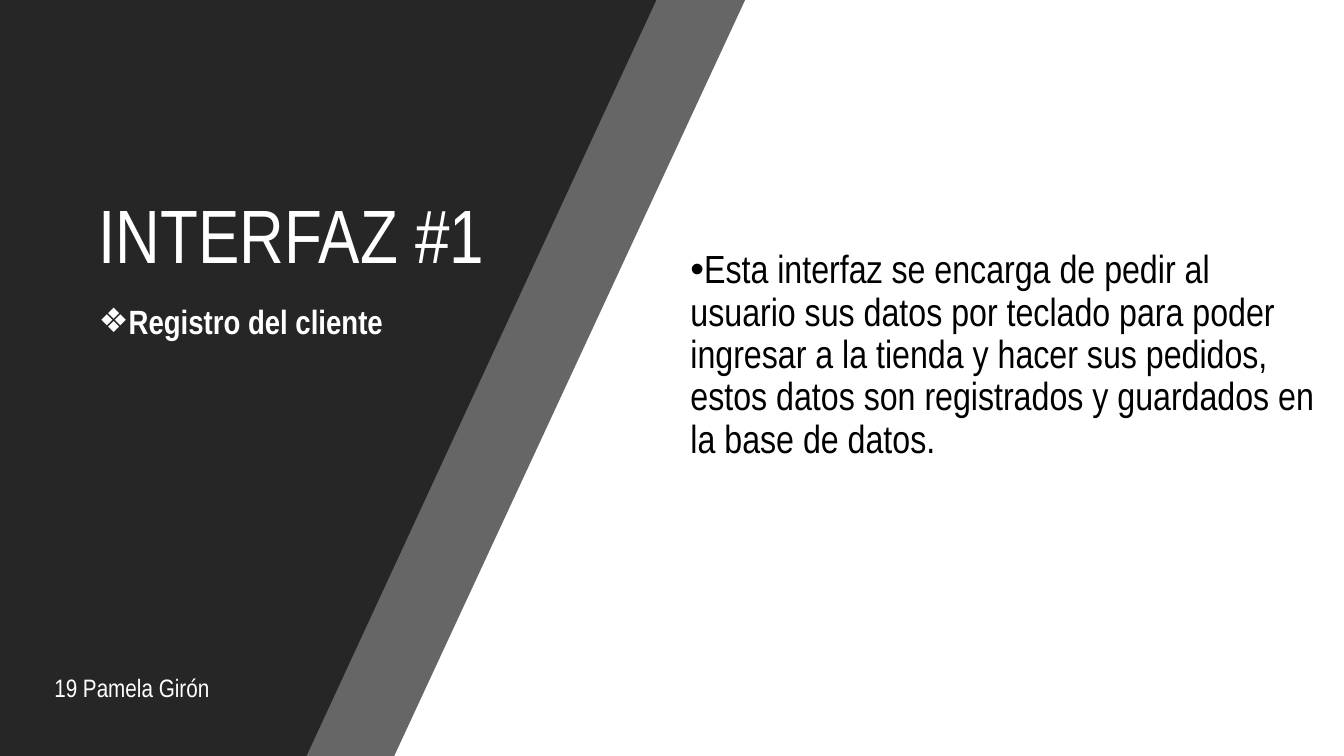
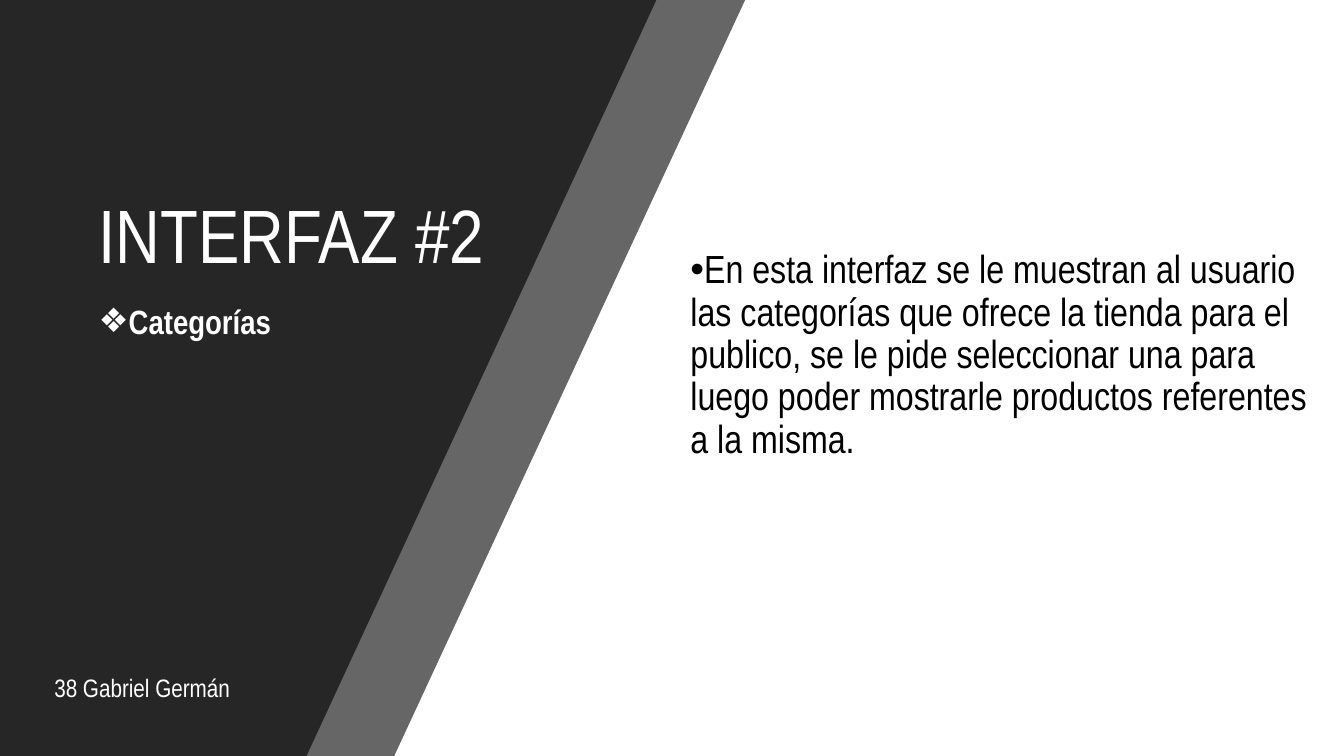
from pptx import Presentation
from pptx.dml.color import RGBColor
from pptx.enum.text import MSO_ANCHOR as Anchor, MSO_AUTO_SIZE as Fit
from pptx.oxml.ns import qn
from pptx.util import Inches, Pt
from lxml.etree import SubElement as Sub

# Content: title, subtitle, body, footer
PAGES = [
    ("INTERFAZ #1", "Registro del cliente",
     "Esta interfaz se encarga de pedir al usuario sus datos por teclado "
     "para poder ingresar a la tienda y hacer sus pedidos, estos datos son "
     "registrados y guardados en la base de datos.",
     "19 Pamela Girón"),
    ("INTERFAZ #2", "Categorías",
     "En esta interfaz se le muestran al usuario las categorías que ofrece "
     "la tienda para el publico, se le pide seleccionar una para luego poder "
     "mostrarle productos referentes a la misma.",
     "38 Gabriel Germán"),
]

# Shared style
WIDE, HIGH = 13.33, 7.5
FONT = "Arial Narrow"
DARK, WHITE, BLACK = "262626", "FFFFFF", "000000"
BANDS = [(7.39, 3.91, 70), (6.51, 3.04, 100)]  # top edge, foot edge, opacity

TITLE = dict(at=(0.88, 0.37, 4.24, 2.46), size=54, line=0.9,
             anchor=Anchor.BOTTOM)
SUB = dict(at=(0.88, 2.98, 3.89, 1.26), size=24, bold=True, line=0.9,
           before=10, bullet="❖", left=0.13, hang=-0.38)
BODY = dict(at=(6.75, 2.43, 6.44, 5.73), size=28, color=BLACK, line=0.9,
            after=6, bullet="•", hang=-0.25)
FOOT = dict(at=(0.44, 6.62, 2.65, 0.4), size=18, fit=Fit.SHAPE_TO_FIT_TEXT)


def paint(fill, color):
    fill.solid()
    fill.fore_color.rgb = RGBColor.from_string(color)


def band(slide, top, foot, alpha):
    pts = [(top, 0), (foot, HIGH), (0, HIGH)]
    form = slide.shapes.build_freeform(0, 0)
    form.add_line_segments([(Inches(x), Inches(y)) for x, y in pts])
    shape = form.convert_to_shape()
    shape.shadow.inherit = False
    shape.line.fill.background()
    paint(shape.fill, DARK)
    if alpha < 100:
        tint = shape.fill._xPr.find(".//" + qn("a:srgbClr"))
        Sub(tint, qn("a:alpha"), val=str(alpha * 1000))


def text(slide, words, at, size, color=WHITE, bold=False, line=None,
         before=0, after=0, bullet=None, left=0, hang=0,
         anchor=Anchor.TOP, fit=Fit.NONE):
    frame = slide.shapes.add_textbox(*map(Inches, at)).text_frame
    frame.word_wrap = True
    frame.auto_size = fit
    frame.vertical_anchor = anchor
    para = frame.paragraphs[0]
    para.line_spacing = line
    para.space_before, para.space_after = Pt(before), Pt(after)
    run = para.add_run()
    run.text = words
    font = run.font
    font.name, font.size, font.bold = FONT, Pt(size), bold
    paint(font.fill, color)
    if bullet:
        prop = para._p.get_or_add_pPr()
        prop.set("marL", str(Inches(left)))
        prop.set("indent", str(Inches(hang)))
        Sub(prop, qn("a:buFont"), typeface="Arial")
        Sub(prop, qn("a:buChar"), char=bullet)


def main():
    deck = Presentation()
    deck.slide_width, deck.slide_height = Inches(WIDE), Inches(HIGH)
    for page in PAGES:
        slide = deck.slides.add_slide(deck.slide_layouts[6])
        paint(slide.background.fill, WHITE)
        # Slanted bands, the lighter one behind
        for edge in BANDS:
            band(slide, *edge)
        # Texts
        for words, style in zip(page, (TITLE, SUB, BODY, FOOT)):
            text(slide, words, **style)
    deck.save("out.pptx")


if __name__ == "__main__":
    main()
